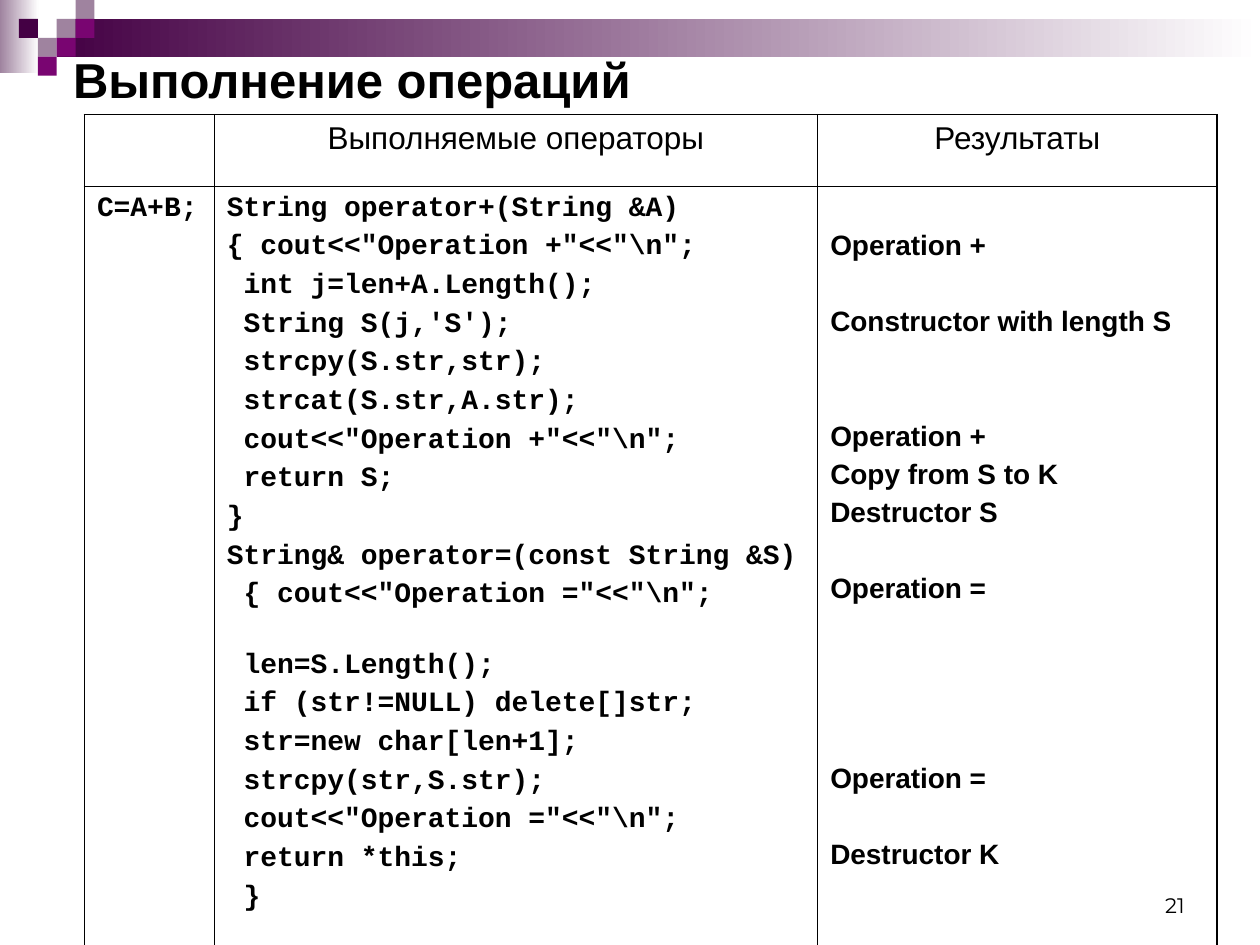
"""Build a slide that sets out string operators and their results in a table."""
import pptx
import pptx.util
import pptx.dml.color
import pptx.enum.shapes
import pptx.enum.text
import pptx.oxml
import pptx.oxml.ns

Inches, Pt = pptx.util.Inches, pptx.util.Pt
RGBColor = pptx.dml.color.RGBColor
ALIGN, ANCHOR = pptx.enum.text.PP_ALIGN, pptx.enum.text.MSO_ANCHOR
BLACK = RGBColor(0, 0, 0)
WHITE = RGBColor(255, 255, 255)
DARK = RGBColor(0x44, 0x00, 0x44)
MAUVE = RGBColor(0x9F, 0x83, 0x9F)
PLUM = RGBColor(0x79, 0x05, 0x71)
UNIT = 0.15
GAP = 21.7

deck = pptx.Presentation()
deck.slide_width, deck.slide_height = Inches(10), Inches(7.5)
slide = deck.slides.add_slide(deck.slide_layouts[5])
shapes = slide.shapes


def block(left, top, width, height, *tints):
    """Draw a plain rectangle with one tint or a gradient of two."""
    shape = shapes.add_shape(pptx.enum.shapes.MSO_SHAPE.RECTANGLE,
                             *[Inches(n * UNIT) for n in (left, top, width, height)])
    shape.shadow.inherit = False
    shape.line.fill.background()
    if len(tints) == 1:
        shape.fill.solid()
        shape.fill.fore_color.rgb = tints[0]
        return
    shape.fill.gradient()
    shape.fill.gradient_angle = 0
    for stop, tint in zip(shape.fill.gradient_stops, tints):
        stop.color.rgb = tint


def write(para, text, size, face, bold=False, align=ALIGN.LEFT, space=0):
    """Fill a paragraph with text in one style."""
    para.text = text
    para.alignment = align
    para.space_before = Pt(space)
    font = para.font
    font.size, font.name, font.bold = Pt(size), face, bold
    font.color.rgb = BLACK


block(0, 0, 2.05, 3.85, MAUVE, WHITE)
block(3, 1, 63.67, 2, DARK, WHITE)
for col, row, tint in [(3, 1, MAUVE), (4, 0, MAUVE), (4, 1, PLUM), (2, 2, MAUVE),
                       (1, 1, DARK), (3, 2, PLUM), (2, 3, PLUM)]:
    block(col, row, 1, 1, tint)

page = shapes.add_textbox(Inches(7.17), Inches(6.83), Inches(2.33), Inches(0.5)).text_frame
page.word_wrap = True
page.vertical_anchor = ANCHOR.BOTTOM
write(page.paragraphs[0], "21", 12, "Montserrat", align=ALIGN.RIGHT)

title = shapes.title
title.left, title.top, title.width, title.height = [Inches(n) for n in (0.48, 0.44, 9, 0.38)]
title.text_frame.vertical_anchor = ANCHOR.MIDDLE
title.text_frame.auto_size = pptx.enum.text.MSO_AUTO_SIZE.NONE
write(title.text_frame.paragraphs[0], "Выполнение операций", 28, "Arial", True)
title.element.getparent().append(title.element)

table = shapes.add_table(2, 3, Inches(0.67), Inches(0.91), Inches(9), Inches(6.68)).table
table.first_row = table.horz_banding = False
for col, width in zip(table.columns, (1.03, 4.79, 3.17)):
    col.width = Inches(width)
for row, height in zip(table.rows, (0.57, 6.11)):
    row.height = Inches(height)

for r in range(2):
    for c in range(3):
        cell = table.cell(r, c)
        props = cell._tc.get_or_add_tcPr()
        for side, outer in (("L", c == 0), ("R", c == 2), ("T", r == 0), ("B", r == 1)):
            props.append(pptx.oxml.parse_xml(
                f'<a:ln{side} {pptx.oxml.ns.nsdecls("a")} w="{Pt(1.08 if outer else 0.45)}">'
                f'<a:solidFill><a:srgbClr val="{BLACK}"/></a:solidFill></a:ln{side}>'))
        cell.fill.background()

for c, head in enumerate(("Выполняемые операторы", "Результаты"), 1):
    write(table.cell(0, c).text_frame.paragraphs[0], head, 18, "Arial",
          align=ALIGN.CENTER, space=4.5)

code = r'''String operator+(String &A)
{ cout<<"Operation +"<<"\n";
 int j=len+A.Length();
 String S(j,'S');
 strcpy(S.str,str);
 strcat(S.str,A.str);
 cout<<"Operation +"<<"\n";
 return S;
}
String& operator=(const String &S)
 { cout<<"Operation ="<<"\n";
 len=S.Length();
 if (str!=NULL) delete[]str;
 str=new char[len+1];
 strcpy(str,S.str);
 cout<<"Operation ="<<"\n";
 return *this;
 }'''
steps = [(line, 18 if "len=S" in line else 0) for line in code.splitlines()]
prints = [(text, skip * GAP) for text, skip in [
    ("Operation +", 0), ("Constructor with length S", 1), ("Operation +", 2),
    ("Copy from S to K", 0), ("Destructor S", 0), ("Operation =", 1),
    ("Operation =", 4), ("Destructor K", 1)]]
table.cell(1, 2).margin_top = Inches(0.05) + Pt(GAP)

for c, (face, lines) in enumerate([("Courier New", [("C=A+B;", 0)]),
                                   ("Courier New", steps), ("Arial", prints)]):
    frame = table.cell(1, c).text_frame
    for i, (text, extra) in enumerate(lines):
        para = frame.add_paragraph() if i else frame.paragraphs[0]
        write(para, text, 16, face, True, space=4 + extra)

deck.save("out.pptx")
